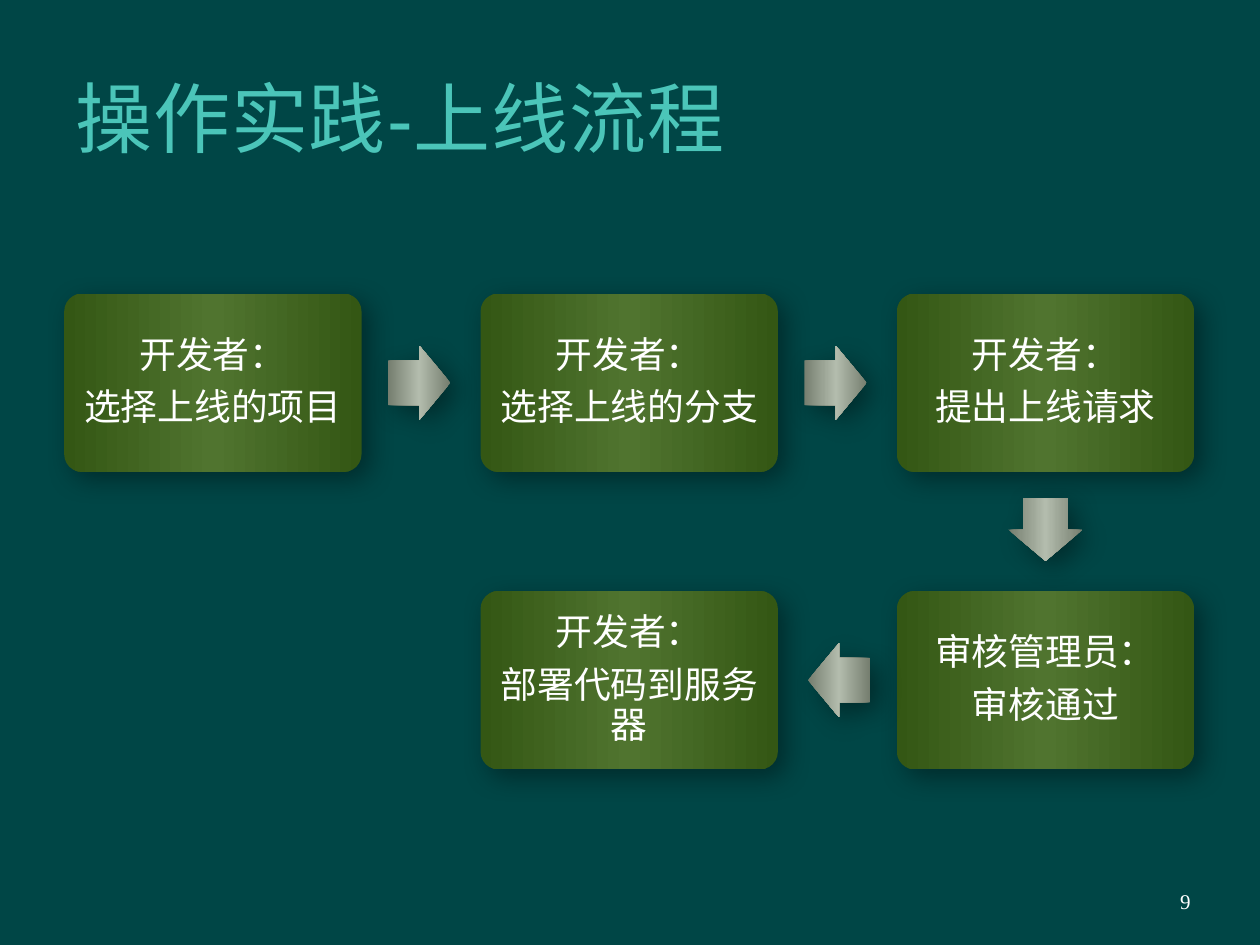
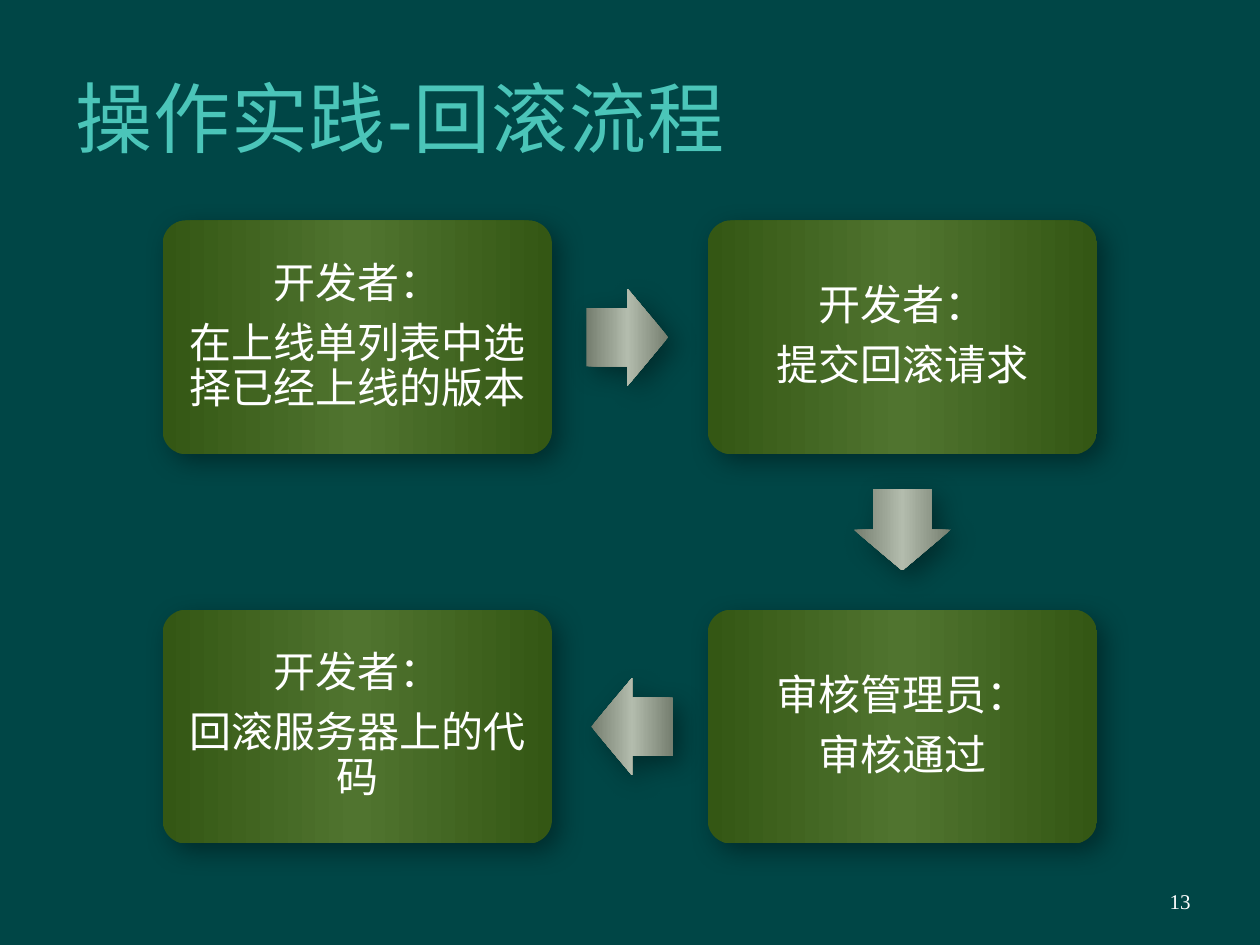
"""Build two process-flow slides: release and rollback."""
from pptx import Presentation
from pptx.dml.color import RGBColor
from pptx.enum.shapes import MSO_SHAPE
from pptx.enum.text import MSO_ANCHOR, PP_ALIGN
from pptx.oxml import parse_xml
from pptx.oxml.ns import nsdecls
from pptx.util import Inches, Pt

ROUNDED = MSO_SHAPE.ROUNDED_RECTANGLE
ARROW = MSO_SHAPE.RIGHT_ARROW
MIDDLE = MSO_ANCHOR.MIDDLE
LEFT, CENTER, RIGHT = PP_ALIGN.LEFT, PP_ALIGN.CENTER, PP_ALIGN.RIGHT

BACKGROUND = RGBColor(0x00, 0x46, 0x46)
TITLE_COLOR = RGBColor(0x4B, 0xC5, 0xB9)
WHITE = RGBColor(0xFF, 0xFF, 0xFF)
BLACK = RGBColor(0x00, 0x00, 0x00)
NODE_COLORS = RGBColor(0x34, 0x57, 0x14), RGBColor(0x50, 0x74, 0x2F)
ARROW_COLORS = RGBColor(0x75, 0x7E, 0x6F), RGBColor(0xB3, 0xBC, 0xAD)
TITLE_FONT, BODY_FONT = "Arial", "Times New Roman"

FLOWS = [
    {
        "title": "操作实践-上线流程", "number": "9",
        "left": 0.51, "top": 2.33, "node_width": 2.36, "size": 21, "inset": 0.09,
        "steps": [
            (0, 0, "开发者：", "选择上线的项目"),
            (1, 0, "开发者：", "选择上线的分支"),
            (2, 0, "开发者：", "提出上线请求"),
            (2, 1, "审核管理员：", "审核通过"),
            (1, 1, "开发者：", "部署代码到服务器"),
        ],
    },
    {
        "title": "操作实践-回滚流程", "number": "13",
        "left": 1.29, "top": 1.75, "node_width": 3.09, "size": 24, "inset": 0.1,
        "steps": [
            (0, 0, "开发者：", "在上线单列表中选择已经上线的版本"),
            (1, 0, "开发者：", "提交回滚请求"),
            (1, 1, "审核管理员：", "审核通过"),
            (0, 1, "开发者：", "回滚服务器上的代码"),
        ],
    },
]

NODE_RATIO = 0.6
COLUMN_PITCH = 1.4
ARROW_WIDTH, ARROW_HEIGHT = 0.21, 0.25
ARROW_OFFSET = 0.194
ROTATIONS = {(1, 0): 0, (0, 1): 90, (-1, 0): 180}


def add_run(paragraph, text, size, font, color):
    run = paragraph.add_run()
    run.text = text
    run.font.size = Pt(size)
    run.font.name = font
    run.font.color.rgb = color
    return run


def set_frame(frame, inset):
    frame.word_wrap = True
    frame.vertical_anchor = MIDDLE
    frame.margin_left = frame.margin_right = Inches(inset)
    frame.margin_top = frame.margin_bottom = Inches(inset)


def add_label(slide, box, inset, align, text, size, font, color):
    shape = slide.shapes.add_textbox(*map(Inches, box))
    set_frame(shape.text_frame, inset)
    paragraph = shape.text_frame.paragraphs[0]
    paragraph.alignment = align
    return add_run(paragraph, text, size, font, color)


def add_glossy_shape(slide, preset, center, width, height, colors, adjustments):
    x, y = center
    shape = slide.shapes.add_shape(
        preset, Inches(x - width / 2), Inches(y - height / 2),
        Inches(width), Inches(height))
    for index, value in enumerate(adjustments):
        shape.adjustments[index] = value
    edge, middle = colors
    stops = "".join(
        f'<a:gs pos="{position}"><a:srgbClr val="{color}"/></a:gs>'
        for position, color in ((0, edge), (50000, middle), (100000, edge)))
    properties = shape._element.spPr
    properties.append(parse_xml(
        f'<a:gradFill {nsdecls("a")} rotWithShape="0"><a:gsLst>{stops}</a:gsLst>'
        '<a:lin ang="0" scaled="0"/></a:gradFill>'))
    shape.line.fill.background()
    properties.append(parse_xml(
        f'<a:effectLst {nsdecls("a")}><a:outerShdw blurRad="{Pt(15)}" '
        f'dist="{Pt(6.2)}" dir="2700000" algn="tl" rotWithShape="0">'
        f'<a:srgbClr val="{BLACK}"><a:alpha val="36000"/></a:srgbClr>'
        '</a:outerShdw></a:effectLst>'))
    return shape


def add_node(slide, center, width, flow, lines):
    shape = add_glossy_shape(
        slide, ROUNDED, center, width, width * NODE_RATIO, NODE_COLORS, [0.1])
    frame = shape.text_frame
    set_frame(frame, flow["inset"])
    for index, line in enumerate(lines):
        paragraph = frame.add_paragraph() if index else frame.paragraphs[0]
        paragraph.alignment = CENTER
        paragraph.line_spacing = 0.9
        paragraph.space_after = Pt(flow["size"] * 0.35)
        add_run(paragraph, line, flow["size"], BODY_FONT, WHITE)


def add_arrow(slide, center, width, direction):
    dx, dy = direction
    x, y = center
    arrow_center = (x + dx * width * (0.5 + ARROW_OFFSET),
                    y + dy * width * (NODE_RATIO / 2 + ARROW_OFFSET))
    shape = add_glossy_shape(
        slide, ARROW, arrow_center, width * ARROW_WIDTH, width * ARROW_HEIGHT,
        ARROW_COLORS, [0.6, 0.5])
    shape.rotation = ROTATIONS[direction]


def add_flow(slide, flow):
    width, steps = flow["node_width"], flow["steps"]
    for index, (column, row, *lines) in enumerate(steps):
        center = (flow["left"] + width * (0.5 + column * COLUMN_PITCH),
                  flow["top"] + width * (NODE_RATIO / 2 + row))
        add_node(slide, center, width, flow, lines)
        if index + 1 < len(steps):
            next_column, next_row = steps[index + 1][:2]
            add_arrow(slide, center, width, (next_column - column, next_row - row))


def add_slide(presentation, flow):
    slide = presentation.slides.add_slide(presentation.slide_layouts[6])
    slide.background.fill.solid()
    slide.background.fill.fore_color.rgb = BACKGROUND
    title = add_label(slide, (0.5, 0.3, 8.5, 1.25), 0.1, LEFT,
                      flow["title"], 44, TITLE_FONT, TITLE_COLOR)
    title.font._element.set("spc", "50")
    add_flow(slide, flow)
    add_label(slide, (7.17, 6.95, 2.33, 0.4), 0.05, RIGHT,
              flow["number"], 12, BODY_FONT, WHITE)


def main():
    presentation = Presentation()
    presentation.slide_width = Inches(10)
    presentation.slide_height = Inches(7.5)
    for flow in FLOWS:
        add_slide(presentation, flow)
    presentation.save("out.pptx")


main()
